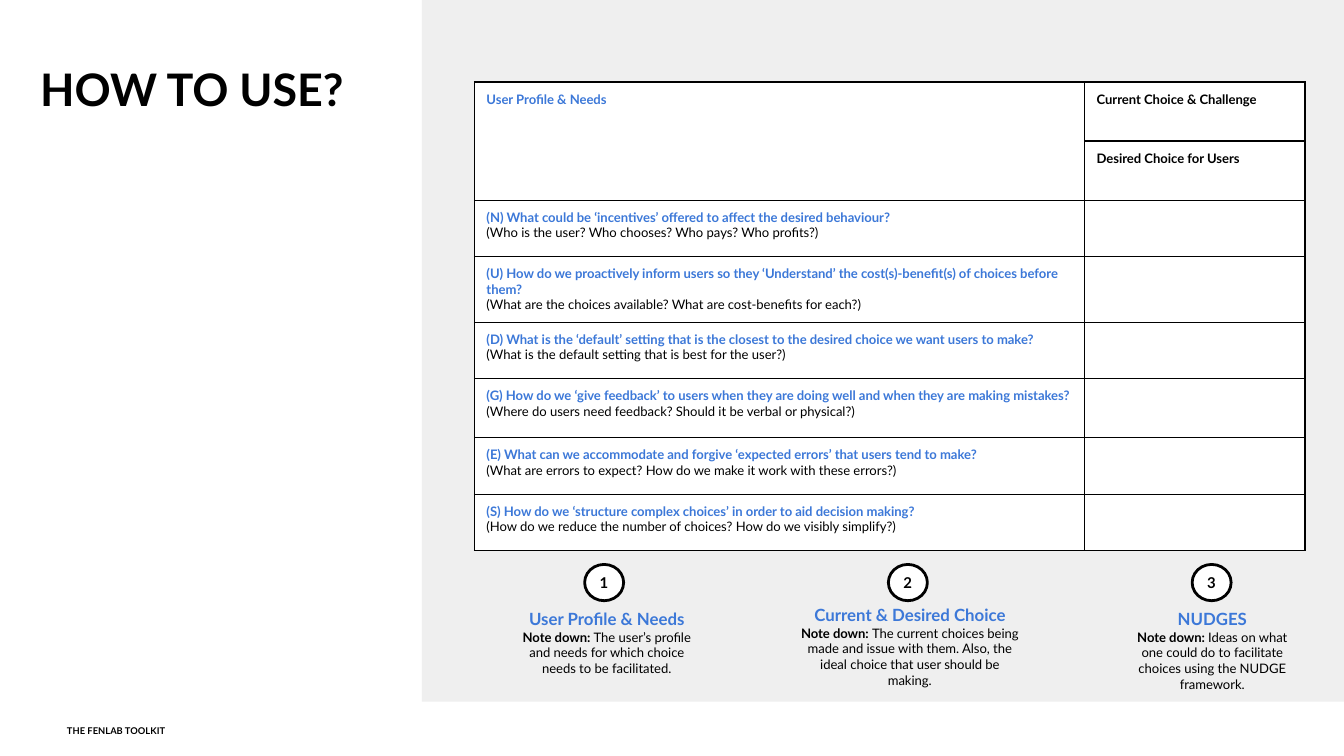
from pptx import Presentation
from pptx.dml.color import RGBColor
from pptx.enum.shapes import MSO_SHAPE as Shape
from pptx.enum.text import MSO_ANCHOR as Anchor, PP_ALIGN as Align
from pptx.oxml import parse_xml
from pptx.oxml.ns import nsdecls
from pptx.util import Inches, Pt

BLACK = RGBColor(0x00, 0x00, 0x00)
WHITE = RGBColor(0xFF, 0xFF, 0xFF)
GREY = RGBColor(0xEF, 0xEF, 0xEF)
BLUE = RGBColor(0x3C, 0x78, 0xD8)
FONT = "Lato"
WIDTH = 10
HEIGHT = WIDTH * 9 / 16

# Content
TITLE = "HOW TO USE?"
FOOTER = "THE FENLAB TOOLKIT"
PROFILE = "User Profile & Needs"
CHOICES = ["Current Choice & Challenge", "Desired Choice for Users"]
QUESTIONS = [
    ("(N) What could be ‘incentives’ offered to affect the desired behaviour?",
     "(Who is the user? Who chooses? Who pays? Who profits?)"),
    ("(U) How do we proactively inform users so they ‘Understand’ the "
     "cost(s)-benefit(s) of choices before them?",
     "(What are the choices available? What are cost-benefits for each?)"),
    ("(D) What is the ‘default’ setting that is the closest to the desired "
     "choice we want users to make?",
     "(What is the default setting that is best for the user?)"),
    ("(G) How do we ‘give feedback’ to users when they are doing well and "
     "when they are making mistakes?",
     "(Where do users need feedback? Should it be verbal or physical?)"),
    ("(E) What can we accommodate and forgive ‘expected errors’ that users "
     "tend to make?",
     "(What are errors to expect? How do we make it work with these errors?)"),
    ("(S) How do we ‘structure complex choices’ in order to aid decision making?",
     "(How do we reduce the number of choices? How do we visibly simplify?)"),
]
# Heading, note, then left, top and width of the caption
STEPS = [
    ("User Profile & Needs",
     "The user’s profile and needs for which choice needs to be facilitated.",
     (3.78, 4.45, 1.47)),
    ("Current & Desired Choice",
     "The current choices being made and issue with them. Also, the ideal "
     "choice that user should be making.",
     (5.87, 4.42, 1.8)),
    ("NUDGES",
     "Ideas on what one could do to facilitate choices using the NUDGE framework.",
     (8.37, 4.45, 1.3)),
]
COLUMNS = [4.54, 1.64]
ROWS = [0.44, 0.44, 0.42, 0.48, 0.42, 0.44, 0.42, 0.42]
STEP_LEFT, STEP_GAP = 4.35, 2.26

deck = Presentation()
deck.slide_width, deck.slide_height = Inches(WIDTH), Inches(HEIGHT)
page = deck.slides.add_slide(deck.slide_layouts[6])


def set_font(para, size, color=BLACK, bold=None):
    font = para.font
    font.name, font.size, font.bold = FONT, Pt(size), bold
    font.color.rgb = color


def set_margins(target, across, down):
    target.margin_left = target.margin_right = Inches(across)
    target.margin_top = target.margin_bottom = Inches(down)


def add_panel(kind, left, top, width, height, fill):
    panel = page.shapes.add_shape(
        kind, Inches(left), Inches(top), Inches(width), Inches(height))
    panel.shadow.inherit = False
    panel.fill.solid()
    panel.fill.fore_color.rgb = fill
    panel.line.fill.background()
    return panel


def add_text(left, top, width, height, inset, anchor=Anchor.TOP):
    box = page.shapes.add_textbox(
        Inches(left), Inches(top), Inches(width), Inches(height))
    frame = box.text_frame
    frame.word_wrap = True
    frame.vertical_anchor = anchor
    set_margins(frame, inset, inset)
    return frame


def add_label(text, size, anchor, *place):
    para = add_text(*place, 0.1, anchor).paragraphs[0]
    para.text = text
    set_font(para, size, bold=True)


def style_cell(cell):
    cell.fill.solid()
    cell.fill.fore_color.rgb = WHITE
    set_margins(cell, 0.09, 0.07)
    set_font(cell.text_frame.paragraphs[0], 7)
    properties = cell._tc.get_or_add_tcPr()
    for index, side in enumerate(("lnL", "lnR", "lnT", "lnB")):
        properties.insert(index, parse_xml(
            f'<a:{side} {nsdecls("a")} w="{Pt(0.75)}"><a:solidFill>'
            f'<a:srgbClr val="{BLACK}"/></a:solidFill></a:{side}>'))


def fill_cell(cell, heading, color, note=None):
    frame = cell.text_frame
    para = frame.paragraphs[0]
    para.text = heading
    set_font(para, 7, color, True)
    if note:
        para = frame.add_paragraph()
        para.text = note
        set_font(para, 7, bold=False)


# Backdrop and title
add_panel(Shape.RECTANGLE, 3.14, 0, WIDTH - 3.14, 5.26, GREY)
add_label(TITLE, 24, Anchor.BOTTOM, 0.2, 0.44, 2.48, 0.52)

# Worksheet table
holder = page.shapes.add_table(
    len(ROWS), len(COLUMNS), Inches(3.53), Inches(0.61),
    Inches(sum(COLUMNS)), Inches(sum(ROWS)))
table = holder.table
table.first_row = table.horz_banding = False
for column, width in zip(table.columns, COLUMNS):
    column.width = Inches(width)
for row, height in zip(table.rows, ROWS):
    row.height = Inches(height)
    for cell in row.cells:
        style_cell(cell)
table.cell(0, 0).merge(table.cell(1, 0))
fill_cell(table.cell(0, 0), PROFILE, BLUE)
for index, choice in enumerate(CHOICES):
    fill_cell(table.cell(index, 1), choice, BLACK)
for index, (question, hint) in enumerate(QUESTIONS, start=len(CHOICES)):
    fill_cell(table.cell(index, 0), question, BLUE, hint)

# Numbered steps
for index, (heading, note, (left, top, width)) in enumerate(STEPS):
    badge = add_panel(
        Shape.OVAL, STEP_LEFT + index * STEP_GAP, 4.2, 0.29, 0.27, WHITE)
    badge.line.color.rgb = BLACK
    badge.line.width = Pt(1.5)
    frame = badge.text_frame
    frame.word_wrap = False
    frame.vertical_anchor = Anchor.MIDDLE
    set_margins(frame, 0.08, 0.08)
    number = frame.paragraphs[0]
    number.text = str(index + 1)
    number.alignment = Align.CENTER
    set_font(number, 8, bold=True)

    caption = add_text(left, top, width, 0.52, 0.08)
    para = caption.paragraphs[0]
    para.text = heading
    para.alignment = Align.CENTER
    set_font(para, 9, BLUE, True)
    para = caption.add_paragraph()
    para.alignment = Align.CENTER
    set_font(para, 7)
    for text, bold in (("Note down: ", True), (note, False)):
        span = para.add_run()
        span.text = text
        span.font.bold = bold

# Footer strip
add_panel(Shape.RECTANGLE, 0, 5.22, WIDTH, HEIGHT - 5.22, WHITE)
add_label(FOOTER, 5, Anchor.MIDDLE, 0.4, 5.29, 4.61, 0.29)

deck.save("out.pptx")
